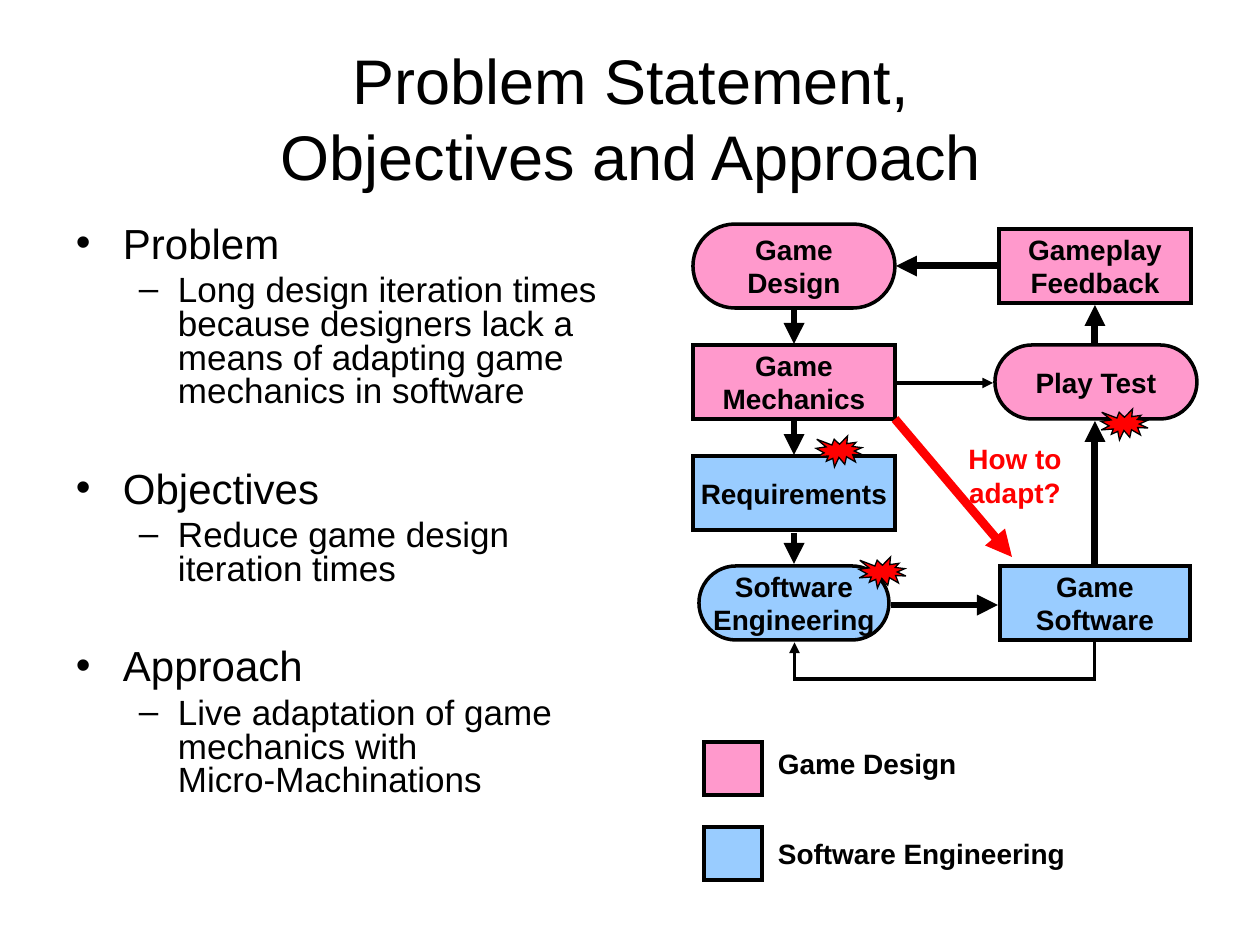
import pptx
import pptx.util
import pptx.dml.color
import pptx.enum.shapes
import pptx.enum.text
import pptx.oxml.ns
import lxml.etree

PX = 914400 / 126
BLACK = pptx.dml.color.RGBColor(0, 0, 0)
RED = pptx.dml.color.RGBColor(0xFF, 0, 0)
PINK = pptx.dml.color.RGBColor(0xFF, 0x99, 0xCC)
BLUE = pptx.dml.color.RGBColor(0x99, 0xCC, 0xFF)

SHAPE = pptx.enum.shapes.MSO_SHAPE
CONNECTOR = pptx.enum.shapes.MSO_CONNECTOR
ALIGN = pptx.enum.text.PP_ALIGN
ANCHOR = pptx.enum.text.MSO_ANCHOR


def emu(px):
    return pptx.util.Emu(round(px * PX))


def add_child(parent, tag, **attributes):
    return lxml.etree.SubElement(parent, pptx.oxml.ns.qn(tag), attributes)


def write_text(frame, lines, size=16, color=BLACK, bold=True, align=ALIGN.CENTER,
               anchor=ANCHOR.MIDDLE, wrap=False, inset=13):
    frame.word_wrap = wrap
    frame.vertical_anchor = anchor
    frame.margin_left = frame.margin_right = emu(inset)
    frame.margin_top = frame.margin_bottom = emu(6)
    for index, line in enumerate(lines):
        paragraph = frame.add_paragraph() if index else frame.paragraphs[0]
        paragraph.text = line
        paragraph.alignment = align
        paragraph.font.name = "Arial"
        paragraph.font.size = pptx.util.Pt(size)
        paragraph.font.bold = bold
        paragraph.font.color.rgb = color


class SlideBuilder:
    def __init__(self, slide, font_size=16):
        self.slide = slide
        self.font_size = font_size

    def text(self, x, y, width, height, lines, **style):
        box = self.slide.shapes.add_textbox(emu(x), emu(y), emu(width), emu(height))
        write_text(box.text_frame, lines, **{"size": self.font_size, **style})
        return box.text_frame

    def shape(self, kind, x, y, width, height, fill, lines=(), line_width=2):
        block = self.slide.shapes.add_shape(kind, emu(x), emu(y), emu(width), emu(height))
        block.shadow.inherit = False
        block.fill.solid()
        block.fill.fore_color.rgb = fill
        block.line.color.rgb = BLACK
        block.line.width = pptx.util.Pt(line_width)
        add_child(block.line._get_or_add_ln(), "a:miter", lim="800000")
        if kind == SHAPE.ROUNDED_RECTANGLE:
            block.adjustments[0] = 0.5
        write_text(block.text_frame, lines, size=self.font_size)

    def arrow(self, start, end, width=4, color=BLACK, kind=CONNECTOR.STRAIGHT):
        line = self.slide.shapes.add_connector(kind, *map(emu, (*start, *end)))
        line.line.color.rgb = color
        line.line.width = pptx.util.Pt(width)
        stroke = line.line._get_or_add_ln()
        add_child(stroke, "a:miter", lim="800000")
        add_child(stroke, "a:tailEnd", type="triangle")
        properties = line._element.spPr
        add_child(properties, "a:effectLst")
        return properties

    def loop_arrow(self, right, left, y, drop):
        middle, half = (left + right) // 2, (right - left) // 2
        properties = self.arrow((middle, y - half), (middle + 1, y + half),
                                width=2, kind=CONNECTOR.ELBOW)
        properties.find(pptx.oxml.ns.qn("a:xfrm")).set("rot", "5400000")
        guides = properties.find(pptx.oxml.ns.qn("a:prstGeom")).get_or_add_avLst()
        add_child(guides, "a:gd", name="adj1", fmla=f"val {drop * 100000}")

    def outline(self, x, y, width, height, topics):
        lines = [line for topic in topics for line in topic]
        frame = self.text(x, y, width, height, lines, bold=False, align=ALIGN.LEFT,
                          anchor=ANCHOR.TOP, wrap=True)
        for index, paragraph in enumerate(frame.paragraphs):
            detail = index % 2
            indent, hanging, size, bullet = ((102, 39, 20, "–") if detail
                                             else (47, 47, 24, "•"))
            paragraph.level = detail
            paragraph.line_spacing = 0.8
            if index:
                paragraph.space_before = pptx.util.Pt(5 if detail else 35)
            paragraph.font.size = pptx.util.Pt(size)
            properties = paragraph._p.get_or_add_pPr()
            properties.set("marL", str(emu(indent)))
            properties.set("indent", str(-emu(hanging)))
            defaults = properties.find(pptx.oxml.ns.qn("a:defRPr"))
            for mark in (add_child(properties, "a:buFont", typeface="Arial"),
                         add_child(properties, "a:buChar", char=bullet)):
                defaults.addprevious(mark)


def main():
    deck = pptx.Presentation()
    deck.slide_width = pptx.util.Inches(10)
    deck.slide_height = pptx.util.Inches(7.5)
    builder = SlideBuilder(deck.slides.add_slide(deck.slide_layouts[6]))

    builder.text(64, 38, 1134, 158, ["Problem Statement,\vObjectives and Approach"],
                 size=36, bold=False, wrap=True)
    builder.outline(63, 221, 572, 624, [
        ("Problem", "Long design iteration times because designers lack a "
                    "means of adapting game mechanics in software"),
        ("Objectives", "Reduce game design iteration times"),
        ("Approach", "Live adaptation of game mechanics with\vMicro-Machinations"),
    ])

    steps = [
        (SHAPE.ROUNDED_RECTANGLE, 693, 224, 202, 84, PINK, ["Game", "Design"]),
        (SHAPE.ROUNDED_RECTANGLE, 699, 566, 190, 74, BLUE, ["Software", "Engineering"]),
        (SHAPE.ROUNDED_RECTANGLE, 995, 345, 202, 74, PINK, ["Play Test"]),
        (SHAPE.RECTANGLE, 1000, 566, 190, 74, BLUE, ["Game", "Software"]),
        (SHAPE.RECTANGLE, 999, 229, 192, 74, PINK, ["Gameplay", "Feedback"]),
        (SHAPE.RECTANGLE, 693, 345, 202, 74, PINK, ["Game", "Mechanics"]),
        (SHAPE.RECTANGLE, 693, 456, 202, 74, BLUE, ["Requirements"]),
    ]
    for step in steps:
        builder.shape(*step)

    left_axis, right_axis = 794, 1095
    for top, bottom in ((310, 344), (421, 455), (533, 564)):
        builder.arrow((left_axis, top), (left_axis, bottom))
    for bottom, top in ((344, 305), (564, 421)):
        builder.arrow((right_axis, bottom), (right_axis, top))
    builder.arrow((998, 266), (896, 266))
    builder.arrow((891, 605), (998, 605))
    builder.arrow((896, 383), (993, 383), width=2)
    builder.loop_arrow(right_axis, left_axis, 642, 38)
    builder.arrow((895, 419), (1012, 557), width=5, color=RED)
    builder.text(945, 436, 140, 81, ["How to", "adapt?"], color=RED, anchor=ANCHOR.TOP)

    for y, label_y, fill, label in ((742, 726, PINK, "Game Design"),
                                    (827, 816, BLUE, "Software Engineering")):
        builder.shape(SHAPE.RECTANGLE, 704, y, 58, 53, fill)
        builder.text(778, label_y, 320, 74, [label], align=ALIGN.LEFT, inset=0,
                     wrap=True)

    for x, y in ((816, 436), (1101, 409), (859, 557)):
        builder.shape(SHAPE.EXPLOSION1, x, y, 47, 31, RED, line_width=0.75)

    deck.save("out.pptx")


if __name__ == "__main__":
    main()
